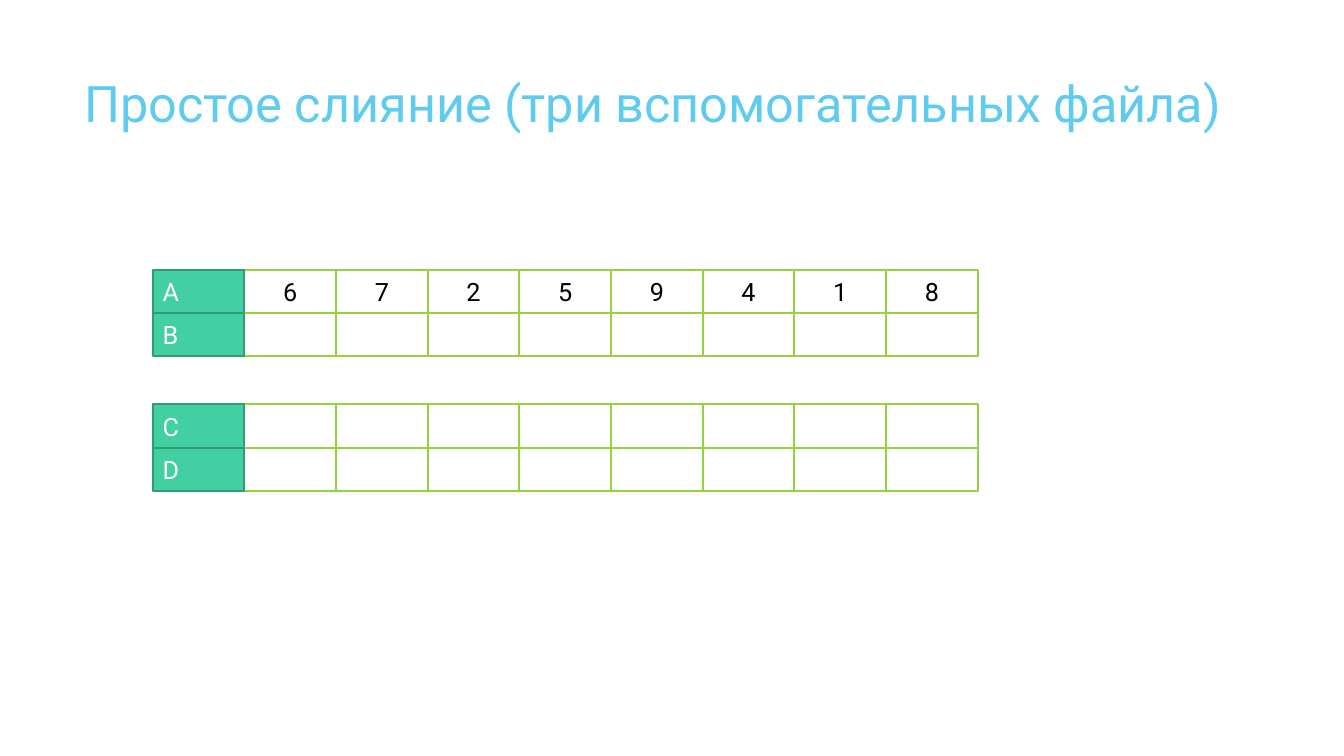
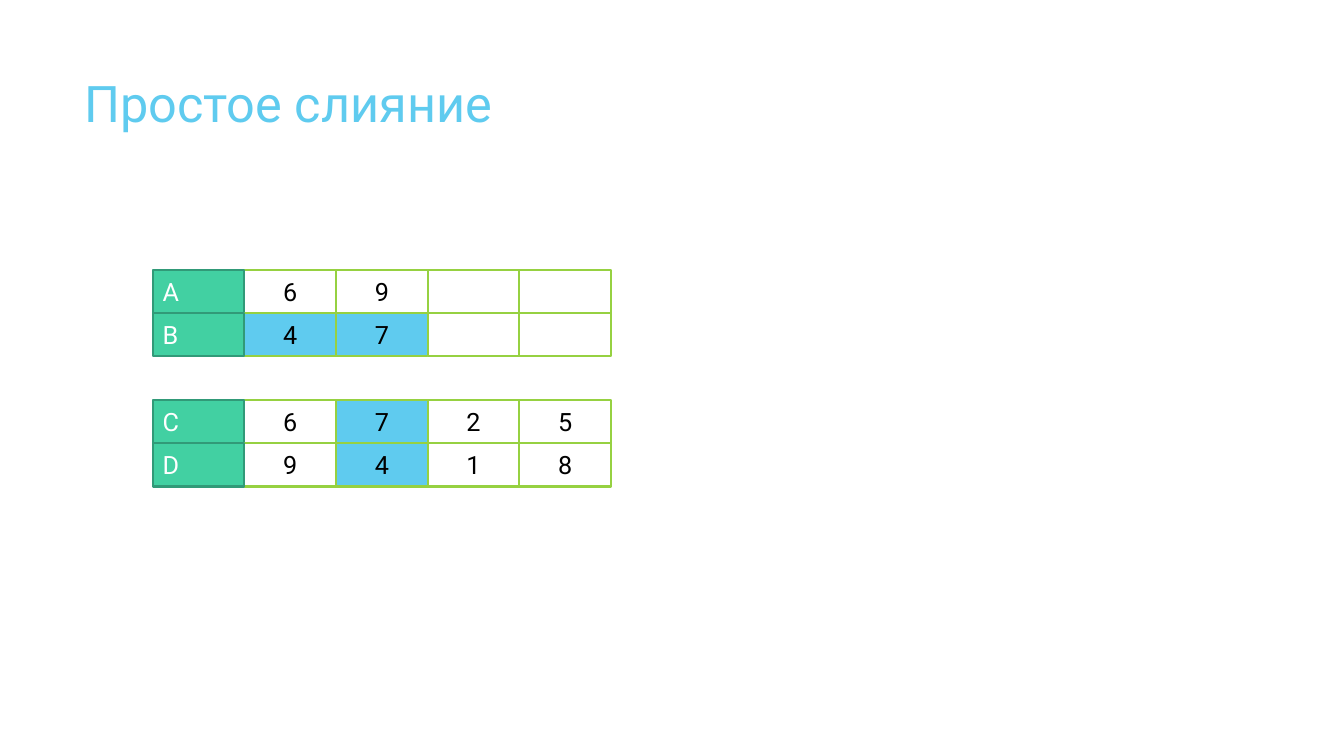
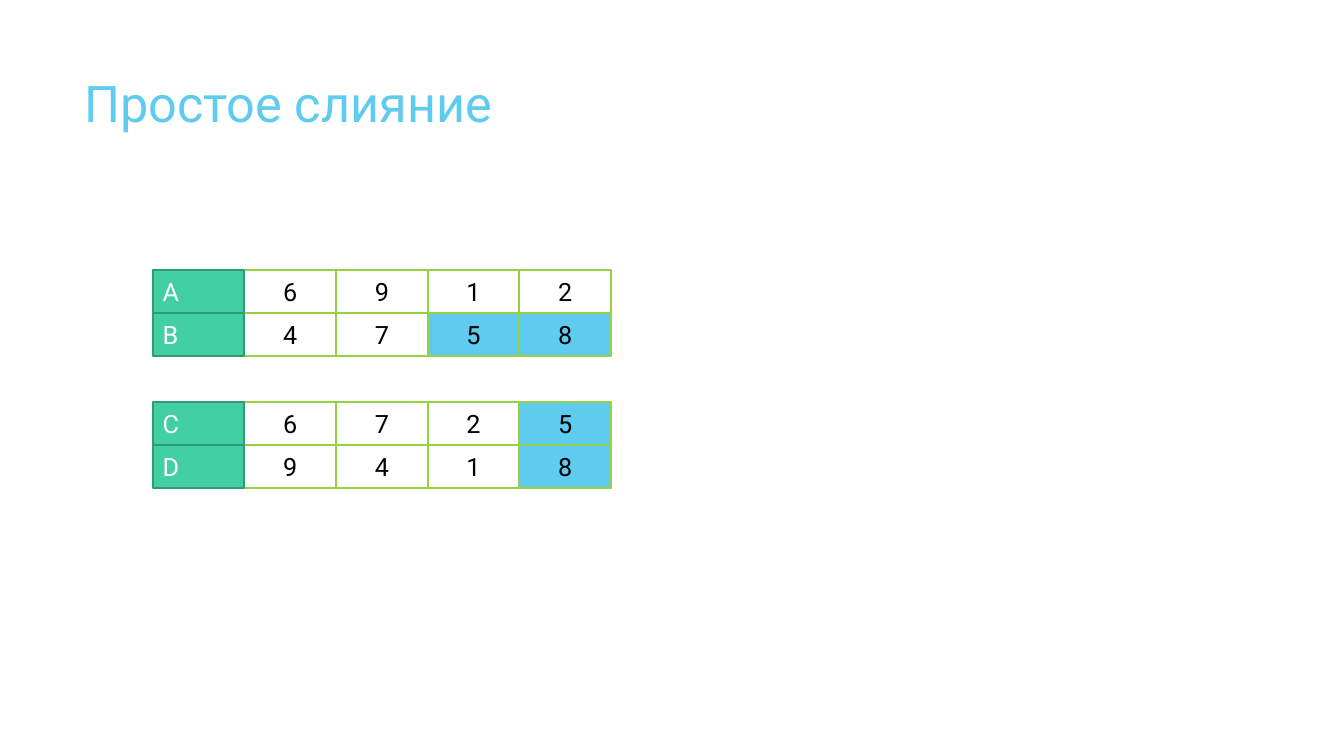
"""Builds three slides that show the simple merge sort step by step."""
from dataclasses import dataclass

from pptx import Presentation
from pptx import util as u
from pptx.dml.color import RGBColor
from pptx.enum import shapes, text


@dataclass(frozen=True)
class Theme:
    """Colours, type sizes and line width shared by all slides."""
    font: str = "Roboto"
    title_size: int = 36
    cell_size: int = 18
    line_width: float = 1.5
    accent: str = "5FCBEF"
    white: str = "FFFFFF"
    black: str = "000000"
    cell_line: str = "96D141"
    label_fill: str = "42D0A2"
    label_line: str = "319A78"


@dataclass(frozen=True)
class FileRow:
    """A file: its label, its values (a space is an empty cell) and marked columns."""
    label: str
    values: str
    marked: tuple = ()


THEME = Theme()
CELL_WIDTH, CELL_HEIGHT = u.Cm(2.31), u.Cm(1.09)
FILES_LEFT, INPUT_TOP = u.Cm(3.85), u.Cm(6.8)
SHORT_TITLE = "Простое слияние"
WIDE_TITLE, NARROW_TITLE = u.Cm(31.9), u.Cm(23.88)

SLIDES = [
    ("Простое слияние (три вспомогательных файла)", WIDE_TITLE, u.Cm(10.19),
     [FileRow("A", "67259418"), FileRow("B", " " * 8)],
     [FileRow("C", " " * 8), FileRow("D", " " * 8)]),
    (SHORT_TITLE, NARROW_TITLE, u.Cm(10.08),
     [FileRow("A", "69  "), FileRow("B", "47  ", (0, 1))],
     [FileRow("C", "6725", (1,)), FileRow("D", "9418", (1,))]),
    (SHORT_TITLE, NARROW_TITLE, u.Cm(10.13),
     [FileRow("A", "6912"), FileRow("B", "4758", (2, 3))],
     [FileRow("C", "6725", (3,)), FileRow("D", "9418", (3,))]),
]


def set_font(paragraph, size, color):
    """Apply the theme font to a paragraph."""
    paragraph.font.name = THEME.font
    paragraph.font.size = u.Pt(size)
    paragraph.font.color.rgb = RGBColor.from_string(color)


def add_title(slide, left, top, width, height, wording):
    """Place the slide title."""
    frame = slide.shapes.add_textbox(left, top, width, height).text_frame
    frame.word_wrap = True
    frame.text = wording
    set_font(frame.paragraphs[0], THEME.title_size, THEME.accent)


def add_cell(slide, left, top, wording, fill, line, color, align):
    """Place one cell of a file row."""
    shape = slide.shapes.add_shape(
        shapes.MSO_SHAPE.RECTANGLE, left, top, CELL_WIDTH, CELL_HEIGHT)
    shape.shadow.inherit = False
    shape.fill.solid()
    shape.fill.fore_color.rgb = RGBColor.from_string(fill)
    shape.line.color.rgb = RGBColor.from_string(line)
    shape.line.width = u.Pt(THEME.line_width)
    if wording.strip():
        frame = shape.text_frame
        frame.vertical_anchor = text.MSO_ANCHOR.MIDDLE
        frame.text = wording
        frame.paragraphs[0].alignment = align
        set_font(frame.paragraphs[0], THEME.cell_size, color)


def add_files(slide, left, top, rows):
    """Place a block of file rows, each with its label at the left."""
    for index, row in enumerate(rows):
        row_top = top + index * CELL_HEIGHT
        for column, value in enumerate(row.values):
            fill = THEME.accent if column in row.marked else THEME.white
            add_cell(slide, left + (column + 1) * CELL_WIDTH, row_top, value,
                     fill, THEME.cell_line, THEME.black, text.PP_ALIGN.CENTER)
        add_cell(slide, left, row_top, row.label, THEME.label_fill,
                 THEME.label_line, THEME.white, text.PP_ALIGN.LEFT)


def main():
    """Build and save the presentation."""
    presentation = Presentation()
    presentation.slide_width, presentation.slide_height = u.Cm(33.87), u.Cm(19.05)
    blank = presentation.slide_layouts[6]
    for title, title_width, output_top, inputs, outputs in SLIDES:
        slide = presentation.slides.add_slide(blank)
        add_title(slide, u.Cm(1.88), u.Cm(1.7), title_width, u.Cm(3.66), title)
        add_files(slide, FILES_LEFT, INPUT_TOP, inputs)
        add_files(slide, FILES_LEFT, output_top, outputs)
    presentation.save("out.pptx")


if __name__ == "__main__":
    main()
